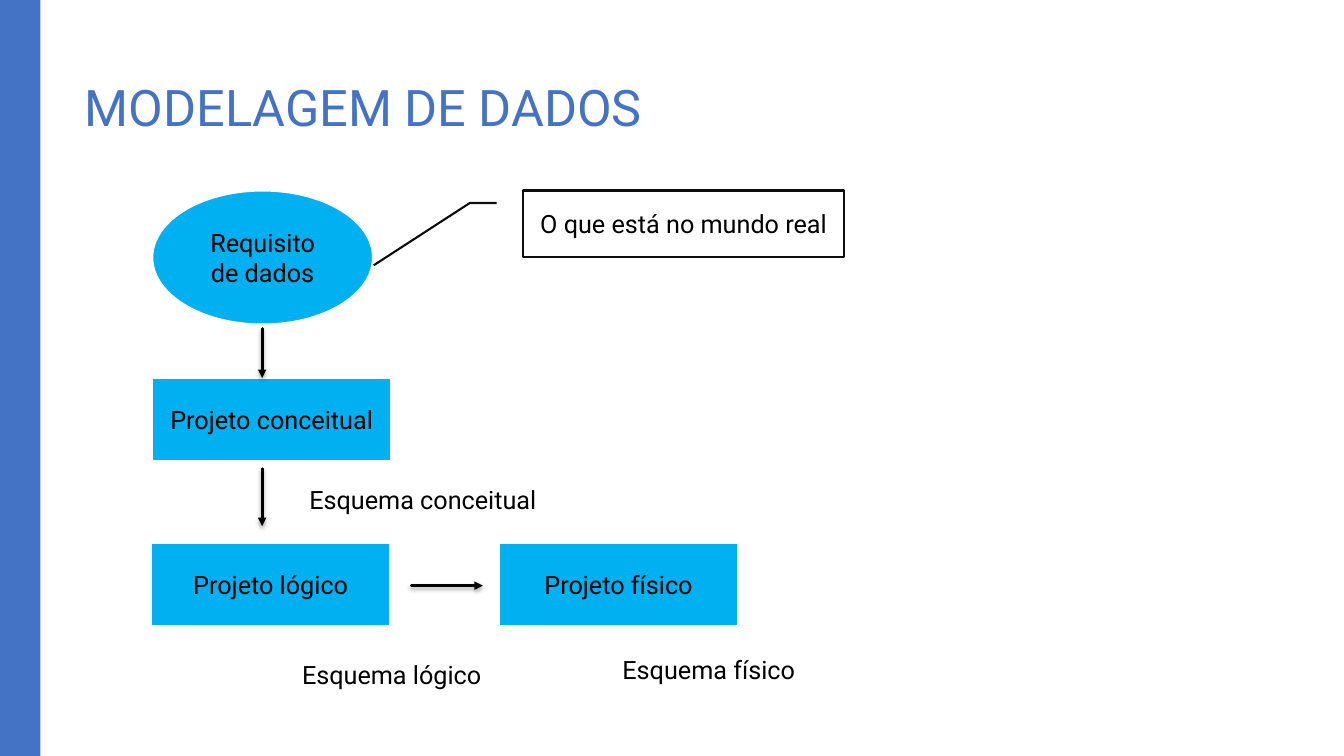
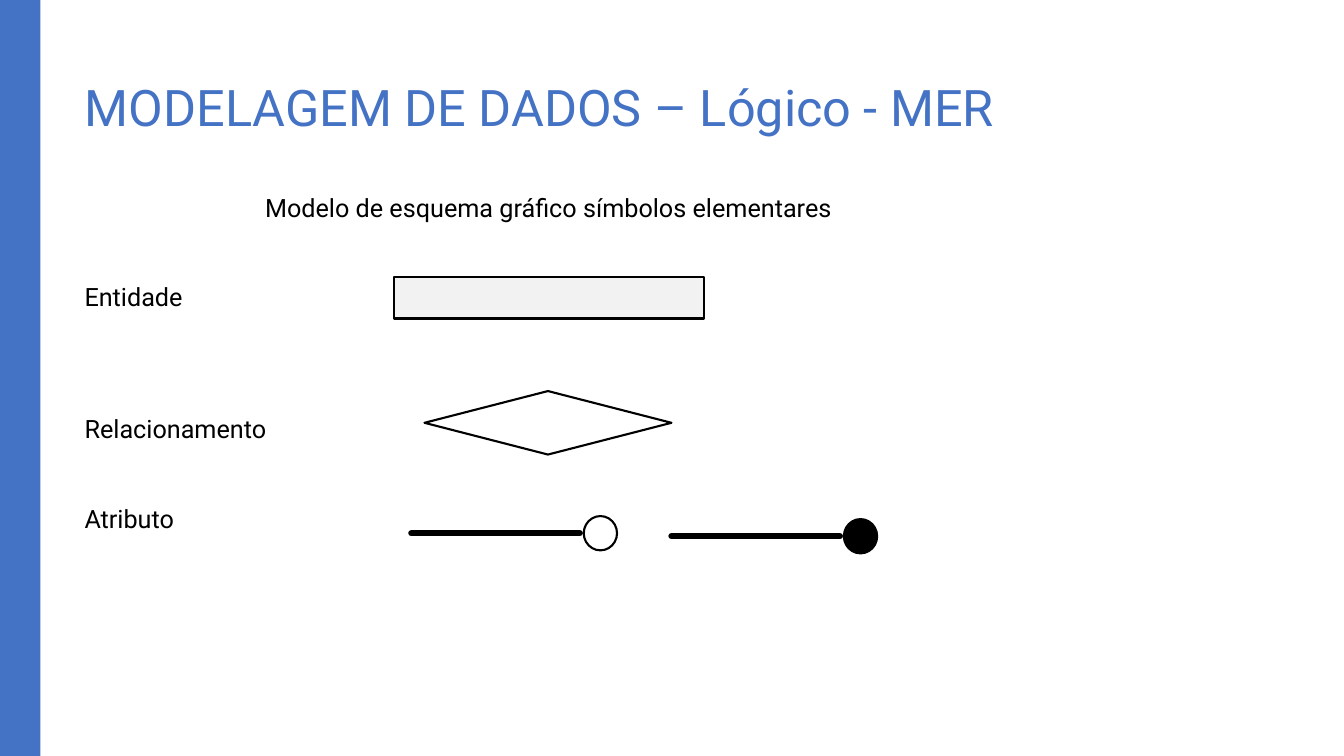
"""Builds two slides on data modelling: the project flow and the diagram symbols."""
import pptx
import pptx.util
import pptx.dml.color
import pptx.enum.shapes
import pptx.enum.text
import pptx.oxml
import pptx.oxml.ns

KIND = pptx.enum.shapes.MSO_SHAPE
ALIGN = pptx.enum.text.PP_ALIGN
ANCHOR = pptx.enum.text.MSO_ANCHOR
PX = 9144
WIDE, HIGH = 1333, 750
FONT = "Roboto"
HUES = {"band": "4472C4", "step": "00B0F0", "white": "FFFFFF",
        "black": "000000", "note": "0D0D0D", "pale": "F2F2F2"}

FLOW = "MODELAGEM DE DADOS"
STEPS = [
    (KIND.OVAL, "Requisito de dados", (151, 189, 219, 133)),
    (KIND.FLOWCHART_PROCESS, "Projeto conceitual", (151, 375, 237, 82)),
    (KIND.FLOWCHART_PROCESS, "Projeto lógico", (150, 539, 237, 82)),
    (KIND.FLOWCHART_PROCESS, "Projeto físico", (495, 539, 237, 82)),
]
ARROWS = [(260, 326, 260, 375), (408, 581, 479, 581), (260, 465, 260, 522)]
TAGS = [
    ("Esquema conceitual", (288, 476, 263, 38)),
    ("Esquema lógico", (281, 655, 215, 29)),
    ("Esquema físico", (580, 646, 246, 37)),
]
NOTE = ("O que está no mundo real", (519, 189, 318, 66))

MODEL = "MODELAGEM DE DADOS – Lógico - MER"
LABELS = [
    ("Modelo de esquema gráfico símbolos elementares", 206, ALIGN.CENTER),
    ("Entidade", 294, ALIGN.LEFT),
    ("Relacionamento", 425, ALIGN.LEFT),
    ("Atributo", 514, ALIGN.LEFT),
]
SIGNS = [
    (KIND.RECTANGLE, (391, 275, 307, 41), "pale"),
    (KIND.FLOWCHART_DECISION, (421, 388, 245, 63), "white"),
]
PINS = [(408, 529, "white"), (666, 532, "black")]
STEM, GAP, DOT = 167, 4, (33, 34)
SHADE = ('<a:outerShdw blurRad="38100" dist="25400" dir="5400000" rotWithShape="0">'
         '<a:srgbClr val="000000"><a:alpha val="35000"/></a:srgbClr></a:outerShdw>')


def scale(*sides):
    return [side * PX for side in sides]


def hue(name):
    return pptx.dml.color.RGBColor.from_string(HUES[name])


def node(tag, inner="", attrs=""):
    space = pptx.oxml.ns.nsdecls("a")
    return pptx.oxml.parse_xml(f"<a:{tag} {space} {attrs}>{inner}</a:{tag}>")


def write(frame, text, size=18, tint="black", align=ALIGN.CENTER, anchor=ANCHOR.MIDDLE):
    frame.text = text
    frame.word_wrap = True
    frame.auto_size = pptx.enum.text.MSO_AUTO_SIZE.NONE
    frame.vertical_anchor = anchor
    for para in frame.paragraphs:
        para.alignment = align
        for run in para.runs:
            run.font.name = FONT
            run.font.size = pptx.util.Pt(size)
            run.font.color.rgb = hue(tint)


def draw(slide, kind, box, fill, edge, text=""):
    shape = slide.shapes.add_shape(kind, *scale(*box))
    shape.shadow.inherit = False
    shape.fill.solid()
    shape.fill.fore_color.rgb = hue(fill)
    shape.line.color.rgb = hue(edge)
    shape.line.width = pptx.util.Pt(1.5)
    if text:
        write(shape.text_frame, text)
    return shape


def join(slide, ends, width, arrow=False):
    straight = pptx.enum.shapes.MSO_CONNECTOR.STRAIGHT
    line = slide.shapes.add_connector(straight, *scale(*ends))
    line.line.color.rgb = hue("black")
    line.line.width = pptx.util.Pt(width)
    props = line.line._get_or_add_ln()
    props.set("cap", "rnd")
    if arrow:
        props.append(node("tailEnd", attrs='type="triangle"'))
    line._element.spPr.append(node("effectLst", SHADE if arrow else ""))


def start(deck, title):
    slide = deck.slides.add_slide(deck.slide_layouts[5])
    band = draw(slide, KIND.RECTANGLE, (0, 0, 40, HIGH), "band", "band")
    band.line.fill.background()
    head = slide.shapes.title
    head.left, head.top, head.width, head.height = scale(74, 70, 940, 80)
    write(head.text_frame, title, 36, "band", ALIGN.LEFT, ANCHOR.TOP)
    return slide


def show_flow(deck):
    slide = start(deck, FLOW)
    for kind, text, box in STEPS:
        draw(slide, kind, box, "step", "white", text)
    for ends in ARROWS:
        join(slide, ends, 2, True)
    for text, box in TAGS:
        draw(slide, KIND.RECTANGLE, box, "white", "white", text)
    text, box = NOTE
    draw(slide, KIND.LINE_CALLOUT_2, box, "white", "note", text)


def show_model(deck):
    slide = start(deck, MODEL)
    for text, mid, align in LABELS:
        label = slide.shapes.add_textbox(*scale(74, mid - 20, 940, 40))
        write(label.text_frame, text, align=align)
    for kind, box, fill in SIGNS:
        draw(slide, kind, box, fill, "black")
    for left, mid, fill in PINS:
        end = left + STEM
        join(slide, (left, mid, end, mid), 4.5)
        box = (end + GAP, mid - DOT[1] // 2, *DOT)
        draw(slide, KIND.FLOWCHART_CONNECTOR, box, fill, "black")


def main():
    deck = pptx.Presentation()
    deck.slide_width, deck.slide_height = scale(WIDE, HIGH)
    show_flow(deck)
    show_model(deck)
    deck.save("out.pptx")


if __name__ == "__main__":
    main()
